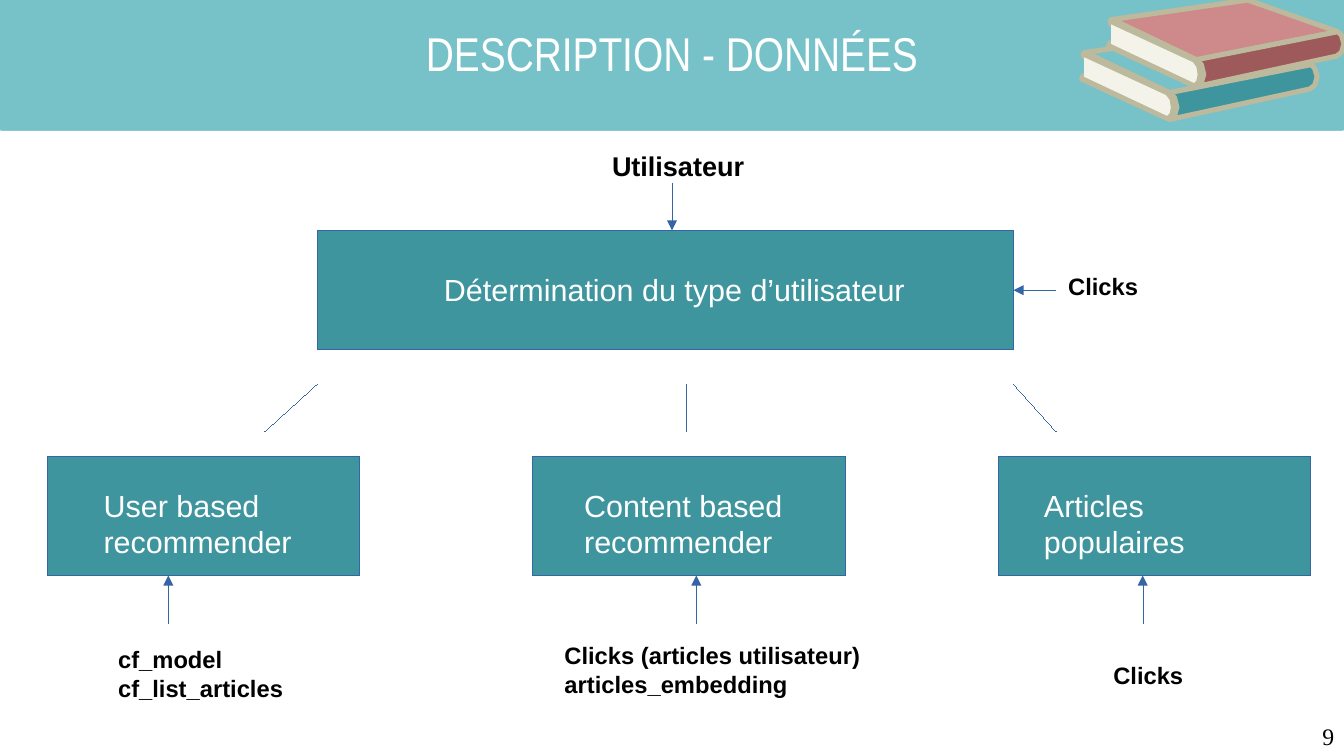
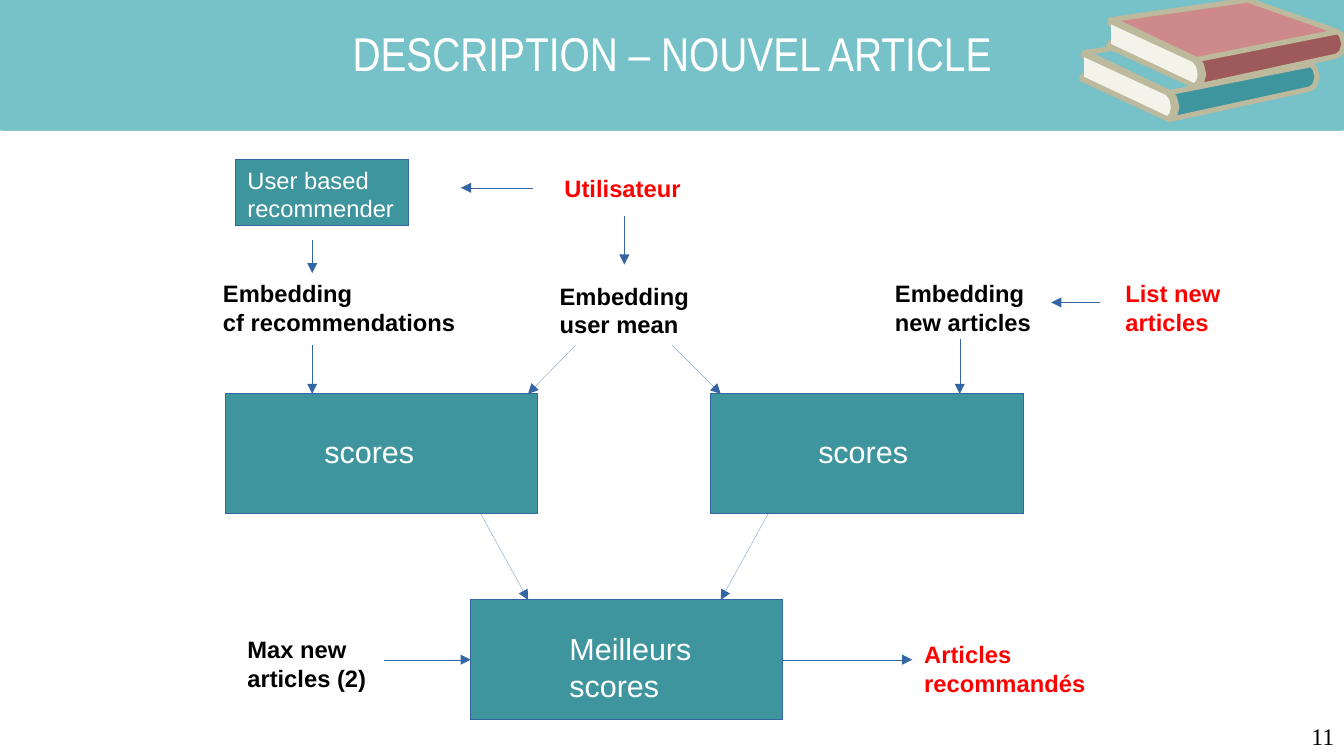
"""Build two slides describing the data flow of an article recommender."""
from dataclasses import dataclass
from typing import Optional

from lxml import etree
from pptx import Presentation
from pptx.dml.color import RGBColor
from pptx.enum.shapes import MSO_CONNECTOR, MSO_SHAPE
from pptx.enum.text import MSO_ANCHOR, MSO_AUTO_SIZE, PP_ALIGN
from pptx.oxml.ns import qn
from pptx.util import Inches, Pt

RECTANGLE = MSO_SHAPE.RECTANGLE
ROUNDED = MSO_SHAPE.ROUNDED_RECTANGLE
STRAIGHT = MSO_CONNECTOR.STRAIGHT
TOP, MIDDLE = MSO_ANCHOR.TOP, MSO_ANCHOR.MIDDLE
LEFT, RIGHT = PP_ALIGN.LEFT, PP_ALIGN.RIGHT
NO_AUTOFIT = MSO_AUTO_SIZE.NONE
LEFT_SIDE, RIGHT_SIDE = 1, 3

COLORS = {
    "band": "76C2C8",
    "teal": "3F959E",
    "outline": "3465A4",
    "white": "FFFFFF",
    "black": "000000",
    "red": "FF0000",
    "binding": "BDB99D",
    "pages": "F3F3E9",
    "pink": "CE8A8A",
    "maroon": "9E5A5A",
}

COVER = [(10.01, 0.27), (8.9, 0.43), (9.59, 0.76), (10.75, 0.53)]
SPINE = [(10.75, 0.53), (9.59, 0.76), (9.62, 0.81), (9.63, 0.88), (9.62, 0.94),
         (9.59, 0.98), (10.74, 0.73), (10.78, 0.7), (10.8, 0.63), (10.78, 0.56)]
RIM = [(8.89, 0.43), (8.88, 0.45), (8.89, 0.47), (9.56, 0.78), (9.59, 0.82),
       (9.6, 0.88), (9.59, 0.93), (9.57, 0.95), (8.88, 0.62), (8.87, 0.65),
       (9.59, 0.98), (9.63, 0.95), (9.65, 0.88), (9.63, 0.8), (9.59, 0.76)]
PAGES = [(8.89, 0.47), (8.89, 0.63), (9.57, 0.95), (9.59, 0.93), (9.6, 0.88),
         (9.59, 0.82), (9.56, 0.78)]


@dataclass(frozen=True)
class Book:
    dx: float
    dy: float
    cover: str
    spine: str


@dataclass(frozen=True)
class Box:
    key: str
    left: float
    top: float
    lines: tuple[str, ...]
    indent: float
    drop: float
    width: float = 2.56
    height: float = 0.98
    margin_right: float = 0.4
    size: int = 18


@dataclass(frozen=True)
class Label:
    left: float
    top: float
    width: float
    lines: tuple[str, ...]
    color: str = "black"
    size: int = 14
    height: float = 0.54


@dataclass(frozen=True)
class Arrow:
    start: tuple[float, float]
    end: tuple[float, float]
    head: bool = True
    from_box: Optional[tuple[str, int]] = None
    to_box: Optional[tuple[str, int]] = None


@dataclass(frozen=True)
class Diagram:
    title: str
    number: str
    boxes: tuple[Box, ...]
    labels: tuple[Label, ...]
    arrows: tuple[Arrow, ...]


BOOKS = (Book(0, 0, "band", "teal"), Book(0.22, -0.27, "pink", "maroon"))

DONNEES = Diagram(
    "DESCRIPTION - DONNÉES",
    "9",
    (
        Box("type", 2.6, 1.89, ("Détermination du type d’utilisateur",), 1.04, 0.33, width=5.71),
        Box("user", 0.39, 3.74, ("User based", "recommender"), 0.46, 0.25),
        Box("content", 4.37, 3.74, ("Content based", "recommender"), 0.42, 0.25),
        Box("popular", 8.19, 3.74, ("Articles populaires",), 0.37, 0.25),
    ),
    (
        Label(4.92, 1.18, 1.54, ("Utilisateur",), size=16),
        Label(8.66, 2.18, 1.01, ("Clicks",)),
        Label(0.87, 5.24, 1.7, ("cf_model", "cf_list_articles")),
        Label(4.53, 5.21, 2.76, ("Clicks (articles utilisateur)", "articles_embedding")),
        Label(9.03, 5.37, 1.01, ("Clicks",)),
    ),
    (
        Arrow((5.51, 1.5), (5.51, 1.89)),
        Arrow((8.66, 2.38), (8.31, 2.38), to_box=("type", RIGHT_SIDE)),
        Arrow((2.6, 3.15), (2.17, 3.54), head=False),
        Arrow((5.63, 3.15), (5.63, 3.54), head=False),
        Arrow((8.31, 3.15), (8.66, 3.54), head=False),
        *(Arrow((x, 5.12), (x, 4.72)) for x in (1.38, 5.71, 9.37)),
    ),
)

NOUVEL_ARTICLE = Diagram(
    "DESCRIPTION – NOUVEL ARTICLE",
    "11",
    (
        Box("user", 1.93, 1.31, ("User based", "recommender"), 0.1, 0.05,
            width=1.42, height=0.54, margin_right=0.05, size=14),
        Box("cf scores", 1.85, 3.23, ("scores",), 0.81, 0.32),
        Box("new scores", 5.83, 3.23, ("scores",), 0.88, 0.32),
        Box("best", 3.86, 4.92, ("Meilleurs scores",), 0.81, 0.25),
    ),
    (
        Label(4.53, 1.38, 1.38, ("Utilisateur",), "red"),
        Label(1.73, 2.24, 2.17, ("Embedding", "cf recommendations")),
        Label(4.49, 2.26, 1.54, ("Embedding user mean",)),
        Label(7.24, 2.24, 1.54, ("Embedding new articles",)),
        Label(9.13, 2.24, 1.54, ("List new articles",), "red"),
        Label(1.93, 5.16, 1.57, ("Max new articles (2)",)),
        Label(7.48, 5.2, 1.57, ("Articles recommandés",), "red"),
    ),
    (
        Arrow((4.37, 1.54), (3.78, 1.54)),
        Arrow((5.12, 1.77), (5.12, 2.17)),
        Arrow((2.56, 1.97), (2.56, 2.24)),
        Arrow((9.02, 2.48), (8.62, 2.48)),
        Arrow((2.56, 2.83), (2.56, 3.23)),
        Arrow((4.72, 2.83), (4.33, 3.23)),
        Arrow((5.51, 2.83), (5.91, 3.23)),
        Arrow((7.87, 2.78), (7.87, 3.23)),
        Arrow((3.94, 4.21), (4.33, 4.92)),
        Arrow((6.3, 4.21), (5.91, 4.92)),
        Arrow((3.15, 5.41), (3.86, 5.41), to_box=("best", LEFT_SIDE)),
        Arrow((6.42, 5.41), (7.48, 5.41), from_box=("best", RIGHT_SIDE)),
    ),
)


def rgb(color: str) -> RGBColor:
    return RGBColor.from_string(COLORS[color])


def set_hairline(shape) -> None:
    shape.line.color.rgb = rgb("outline")
    shape.element.spPr.find(qn("a:ln")).set("w", "0")


def fill_plain(shape, fill: str) -> None:
    shape.shadow.inherit = False
    shape.fill.solid()
    shape.fill.fore_color.rgb = rgb(fill)


def write(frame, lines: tuple[str, ...], size: int, color: str, font: str = "Arial",
          bold: bool = False, align=None) -> None:
    frame.word_wrap = True
    frame.text = "\n".join(lines)
    for paragraph in frame.paragraphs:
        paragraph.alignment = align
        paragraph.font.size = Pt(size)
        paragraph.font.name = font
        paragraph.font.bold = bold
        paragraph.font.color.rgb = rgb(color)


def draw_outline(slide, points: list, book: Book, fill: str, edged: bool = True):
    moved = [(round((x + book.dx) * 100), round((y + book.dy) * 100)) for x, y in points]
    builder = slide.shapes.build_freeform(*moved[0], scale=Inches(0.01))
    builder.add_line_segments(moved[1:], close=True)
    outline = builder.convert_to_shape()
    fill_plain(outline, fill)
    if edged:
        outline.line.color.rgb = rgb("binding")
        outline.line.width = Pt(3)
    else:
        outline.line.fill.background()
    return outline


def draw_header(slide) -> None:
    band = slide.shapes.add_shape(
        ROUNDED, Inches(-0.04), Inches(-0.04), Inches(11.1), Inches(1.13))
    band.adjustments[0] = 0.05
    fill_plain(band, "band")
    band.line.color.rgb = rgb("white")
    band.line.width = Pt(2.25)
    header = [band]
    for book in BOOKS:
        header += [
            draw_outline(slide, COVER, book, book.cover),
            draw_outline(slide, SPINE, book, book.spine),
            draw_outline(slide, RIM, book, "binding"),
            draw_outline(slide, PAGES, book, "pages", edged=False),
        ]
    tree = slide.slide_layout.shapes.element
    for position, part in enumerate(header):
        part.element.xpath(".//p:cNvPr")[0].set("id", str(100 + position))
        tree.insert(2 + position, part.element)


def remove_low_placeholders(holder, limit: int) -> None:
    for placeholder in list(holder.placeholders):
        if placeholder.top >= limit:
            holder.shapes.element.remove(placeholder.element)


def draw_box(slide, box: Box):
    rectangle = slide.shapes.add_shape(
        RECTANGLE, Inches(box.left), Inches(box.top), Inches(box.width), Inches(box.height))
    fill_plain(rectangle, "teal")
    set_hairline(rectangle)
    frame = rectangle.text_frame
    frame.vertical_anchor = TOP
    frame.margin_left, frame.margin_top = Inches(box.indent), Inches(box.drop)
    frame.margin_right, frame.margin_bottom = Inches(box.margin_right), 0
    write(frame, box.lines, box.size, "white", align=LEFT)
    return rectangle


def draw_label(slide, label: Label) -> None:
    caption = slide.shapes.add_textbox(
        Inches(label.left), Inches(label.top), Inches(label.width), Inches(label.height))
    write(caption.text_frame, label.lines, label.size, label.color, bold=True)


def draw_arrow(slide, arrow: Arrow, boxes: dict) -> None:
    connector = slide.shapes.add_connector(
        STRAIGHT, *(Inches(length) for length in arrow.start + arrow.end))
    if arrow.from_box:
        key, side = arrow.from_box
        connector.begin_connect(boxes[key], side)
    if arrow.to_box:
        key, side = arrow.to_box
        connector.end_connect(boxes[key], side)
    set_hairline(connector)
    properties = connector.element.spPr
    if arrow.head:
        etree.SubElement(properties.find(qn("a:ln")), qn("a:tailEnd"), type="triangle")
    etree.SubElement(properties, qn("a:effectLst"))


def draw_number(slide, number: str) -> None:
    page = slide.shapes.add_textbox(Inches(8.38), Inches(5.92), Inches(2.56), Inches(0.25))
    frame = page.text_frame
    frame.margin_left = frame.margin_right = frame.margin_top = frame.margin_bottom = 0
    write(frame, (number,), 14, "black", "Times New Roman", align=RIGHT)


def draw_diagram(slide, diagram: Diagram) -> None:
    title = slide.shapes.title
    title.left, title.top = Inches(0.21), Inches(0.13)
    title.width, title.height = Inches(10.6), Inches(0.6)
    frame = title.text_frame
    frame.auto_size = NO_AUTOFIT
    frame.vertical_anchor = MIDDLE
    frame.margin_top = frame.margin_bottom = 0
    write(frame, (diagram.title,), 28, "white", "Arial Narrow")
    boxes = {box.key: draw_box(slide, box) for box in diagram.boxes}
    for label in diagram.labels:
        draw_label(slide, label)
    for arrow in diagram.arrows:
        draw_arrow(slide, arrow, boxes)
    draw_number(slide, diagram.number)


def main() -> None:
    deck = Presentation()
    deck.slide_width, deck.slide_height = Inches(11.02), Inches(6.2)
    title_only = deck.slide_layouts[5]
    for holder in (title_only, deck.slide_master):
        remove_low_placeholders(holder, deck.slide_height)
    for position, diagram in enumerate((DONNEES, NOUVEL_ARTICLE)):
        slide = deck.slides.add_slide(title_only)
        if position == 0:
            draw_header(slide)
        draw_diagram(slide, diagram)
    deck.save("out.pptx")


if __name__ == "__main__":
    main()
